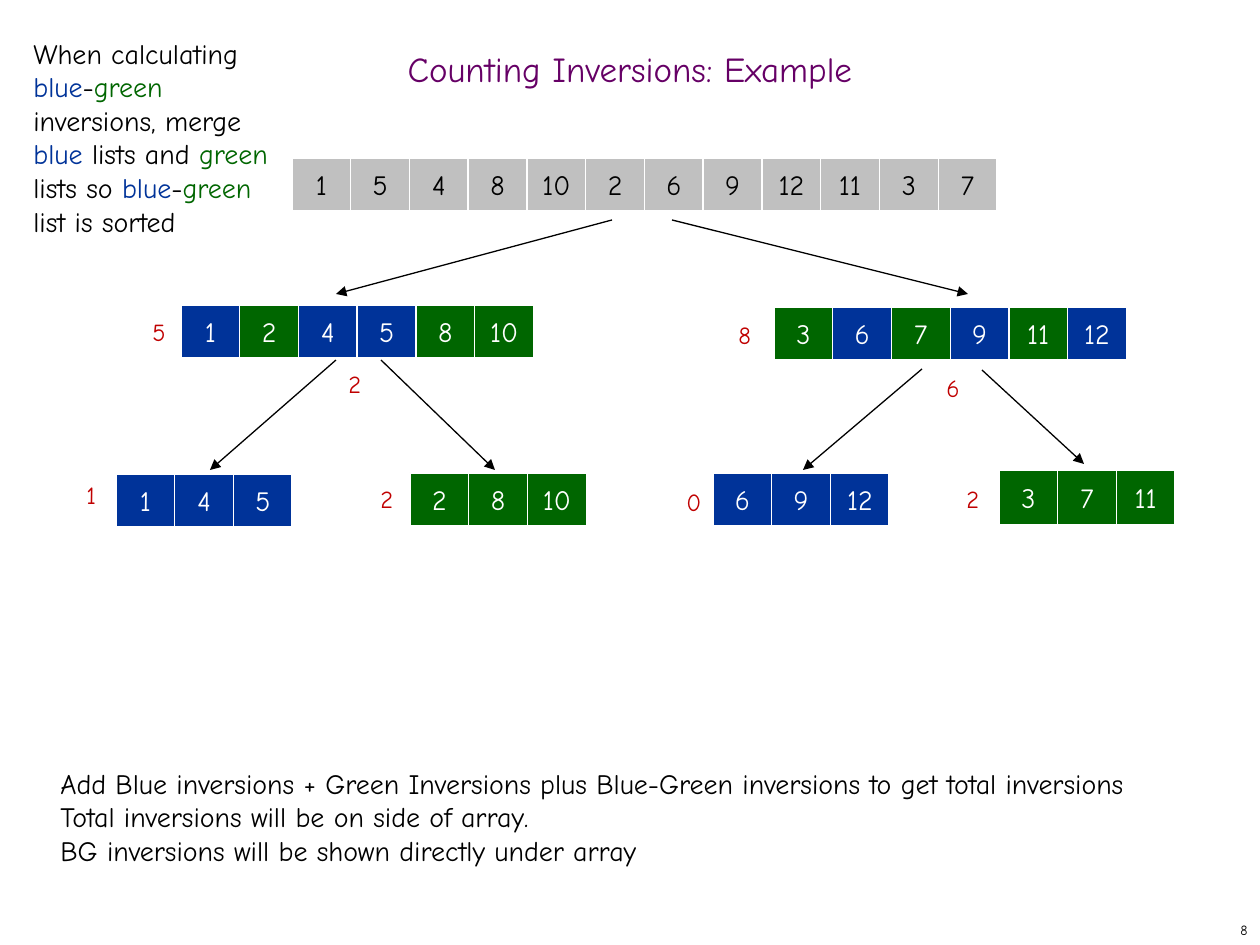
from lxml.etree import SubElement
from pptx import Presentation
from pptx.dml.color import RGBColor
from pptx.enum.shapes import MSO_CONNECTOR as CONNECTOR, MSO_SHAPE as SHAPE
from pptx.enum.text import MSO_ANCHOR as ANCHOR, MSO_AUTO_SIZE as AUTO_SIZE, PP_ALIGN as ALIGN
from pptx.oxml.ns import qn
from pptx.util import Pt

EMU_PER_PX = 914400 / 126
PAGE_SIZE = (1260, 945)
FONT = "Comic Neue"
COLORS = {
    "black": "000000", "white": "FFFFFF", "gray": "C0C0C0", "blue": "003399",
    "green": "006600", "red": "C00000", "purple": "660066",
}

TITLE = "Counting Inversions: Example"
PAGE_NUMBER = "8"
MERGE_NOTE = [
    ("When calculating ", "black"), ("blue", "blue"), ("-", "black"), ("green", "green"),
    (" inversions, merge ", "black"), ("blue", "blue"), (" lists and ", "black"),
    ("green", "green"), (" lists so ", "black"), ("blue", "blue"), ("-", "black"),
    ("green", "green"), (" list is sorted", "black"),
]
SUMMARY = [
    "Add Blue inversions + Green Inversions plus Blue-Green inversions to get total inversions",
    "Total inversions will be on side of array.",
    "BG inversions will be shown directly under array",
]

INPUT = [1, 5, 4, 8, 10, 2, 6, 9, 12, 11, 3, 7]
BLUE_VALUES = {1, 4, 5, 6, 9, 12}
INPUT_WIDTH = 705
CELL_WIDTH = INPUT_WIDTH / len(INPUT)

ARRAYS = [
    (292, 158, 53, INPUT),
    (181, 305, 53, [1, 2, 4, 5, 8, 10]),
    (774, 307, 53, [3, 6, 7, 9, 11, 12]),
    (116, 474, 53, [1, 4, 5]),
    (410, 473, 53, [2, 8, 10]),
    (713, 473, 53, [6, 9, 12]),
    (999, 470, 55, [3, 7, 11]),
]
ARROWS = [
    (612, 220, 336, 294), (672, 220, 968, 294),
    (336, 360, 210, 470), (381, 360, 495, 470),
    (922, 369, 803, 470), (982, 370, 1084, 464),
]
COUNT_SIZE = (33, 43)
TOTAL_COUNTS = [
    (140, 311, 5), (726, 314, 8),
    (74, 474, 1), (368, 478, 2), (674, 481, 0), (954, 478, 2),
]
BLUE_GREEN_COUNTS = [(336, 363, 2), (934, 367, 6)]


def px(*lengths):
    return [round(length * EMU_PER_PX) for length in lengths]


def color(name):
    return RGBColor.from_string(COLORS[name])


def write(paragraph, spans, size, align=ALIGN.LEFT):
    paragraph.alignment = align
    for text, color_name in spans:
        span = paragraph.add_run()
        span.text = text
        for name, value in {"name": FONT, "size": Pt(size)}.items():
            setattr(span.font, name, value)
        span.font.color.rgb = color(color_name)


def add_text(page, place, spans, size):
    box = page.shapes.add_textbox(*px(*place))
    box.text_frame.word_wrap = True
    box.text_frame.auto_size = AUTO_SIZE.SHAPE_TO_FIT_TEXT
    write(box.text_frame.paragraphs[0], spans, size)
    return box


def add_cell(page, place, value, fill, text_color):
    cell = page.shapes.add_shape(SHAPE.RECTANGLE, *px(*place))
    cell.shadow.inherit = False
    cell.fill.solid()
    cell.fill.fore_color.rgb = color(fill)
    cell.line.color.rgb = color("white")
    cell.line.width = Pt(0.75)
    cell.text_frame.word_wrap = False
    cell.text_frame.vertical_anchor = ANCHOR.MIDDLE
    write(cell.text_frame.paragraphs[0], [(str(value), text_color)], 16, ALIGN.CENTER)


def add_array(page, left, top, height, values):
    for index, value in enumerate(values):
        if values is INPUT:
            fill, text_color = "gray", "black"
        else:
            fill, text_color = "blue" if value in BLUE_VALUES else "green", "white"
        place = (left + index * CELL_WIDTH, top, CELL_WIDTH, height)
        add_cell(page, place, value, fill, text_color)


def add_arrow(page, ends):
    arrow = page.shapes.add_connector(CONNECTOR.STRAIGHT, *px(*ends))
    arrow.line.color.rgb = color("black")
    arrow.line.width = Pt(0.75)
    properties = arrow._element.spPr
    SubElement(properties.find(qn("a:ln")), qn("a:tailEnd"), type="triangle")
    SubElement(properties, qn("a:effectLst"))


def add_title(page):
    title = page.shapes.title
    title.left, title.top, title.width, title.height = px(0, 42, PAGE_SIZE[0], 63)
    title.text_frame.auto_size = AUTO_SIZE.NONE
    title.text_frame.vertical_anchor = ANCHOR.MIDDLE
    paragraph = title.text_frame.paragraphs[0]
    paragraph.line_spacing = 0.7
    write(paragraph, [(TITLE, "purple")], 20, ALIGN.CENTER)


def add_page_number(page):
    box = page.shapes.add_textbox(*px(998, 914, 262, 31))
    box.text_frame.word_wrap = False
    box.text_frame.vertical_anchor = ANCHOR.MIDDLE
    write(box.text_frame.paragraphs[0], [(PAGE_NUMBER, "black")], 8, ALIGN.RIGHT)


def main():
    deck = Presentation()
    deck.slide_width, deck.slide_height = px(*PAGE_SIZE)
    page = deck.slides.add_slide(deck.slide_layouts[5])

    add_page_number(page)
    add_title(page)
    for array in ARRAYS:
        add_array(page, *array)
    for ends in ARROWS:
        add_arrow(page, ends)

    summary = add_text(page, (48, 760, 1193, 115), [(SUMMARY[0], "black")], 16)
    paragraph = summary.text_frame.paragraphs[0]
    for line in SUMMARY[1:]:
        paragraph.add_line_break()
        write(paragraph, [(line, "black")], 16)

    for left, top, count in TOTAL_COUNTS + BLUE_GREEN_COUNTS:
        add_text(page, (left, top, *COUNT_SIZE), [(str(count), "red")], 14)
    add_text(page, (21, 30, 271, 251), MERGE_NOTE, 16)

    deck.save("out.pptx")


if __name__ == "__main__":
    main()
